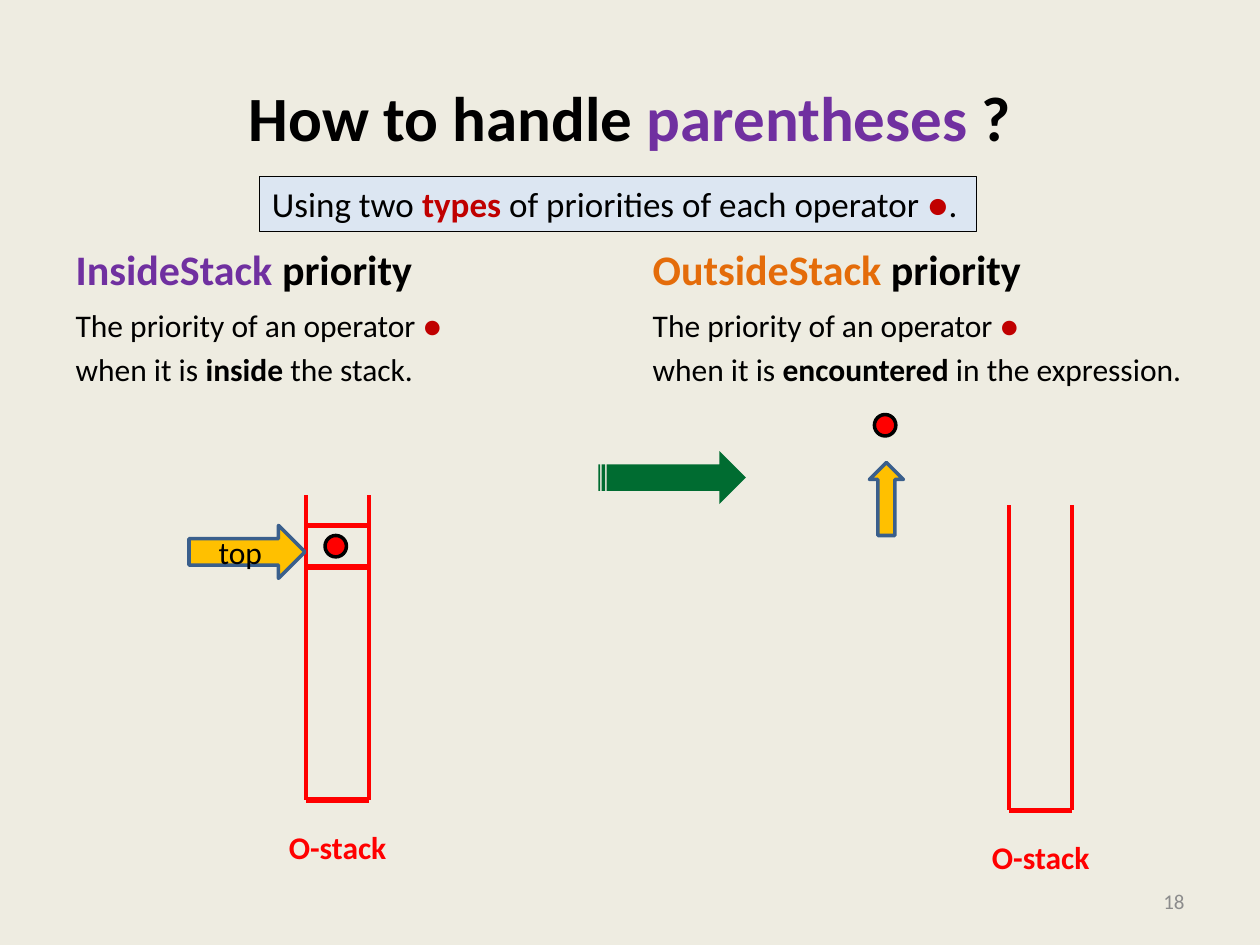
from dataclasses import dataclass

from lxml import etree
from pptx import Presentation
from pptx.dml.color import RGBColor
from pptx.enum.shapes import MSO_CONNECTOR, MSO_SHAPE
from pptx.enum.text import MSO_ANCHOR, PP_ALIGN
from pptx.oxml.ns import qn
from pptx.util import Inches, Pt


@dataclass(frozen=True)
class Theme:
    font: str = "Calibri"
    background: str = "EEECE1"
    black: str = "000000"
    purple: str = "7030A0"
    orange: str = "E46C0A"
    dark_red: str = "C00000"
    red: str = "FF0000"
    gold: str = "FFC000"
    green: str = "006C31"
    pale_blue: str = "DCE6F2"
    outline: str = "3A5F8C"
    grey: str = "8C8C8C"
    title_size: int = 36
    heading_size: int = 24
    banner_size: int = 20
    body_size: int = 18
    number_size: int = 12


THEME = Theme()
DOT = ("●", THEME.dark_red, False)


def rgb(value):
    return RGBColor.from_string(value)


def style_font(font, size, color, bold=False):
    font.name, font.size, font.bold = THEME.font, Pt(size), bold
    font.color.rgb = rgb(color)


def write(shape, lines, size, anchor=MSO_ANCHOR.TOP, align=PP_ALIGN.LEFT, wrap=True):
    """Each line is a list of (text, color, bold) runs."""
    frame = shape.text_frame
    frame.word_wrap, frame.vertical_anchor = wrap, anchor
    for index, runs in enumerate(lines):
        paragraph = frame.add_paragraph() if index else frame.paragraphs[0]
        paragraph.alignment = align
        if index == 0:
            paragraph.space_before = Pt(0)
        for text, color, bold in runs:
            run = paragraph.add_run()
            run.text = text
            style_font(run.font, size, color, bold)


def place(shape, left, top, width, height):
    shape.left, shape.top = Inches(left), Inches(top)
    shape.width, shape.height = Inches(width), Inches(height)


def add_block(slide, kind, box, fill, line=None, line_width=2.0):
    shape = slide.shapes.add_shape(kind, *map(Inches, box))
    shape.shadow.inherit = False
    shape.fill.solid()
    shape.fill.fore_color.rgb = rgb(fill)
    if line:
        shape.line.color.rgb = rgb(line)
        shape.line.width = Pt(line_width)
    else:
        shape.line.fill.background()
    return shape


def add_line(slide, start_x, start_y, end_x, end_y, width):
    line = slide.shapes.add_connector(
        MSO_CONNECTOR.STRAIGHT, *map(Inches, (start_x, start_y, end_x, end_y)))
    line.line.color.rgb = rgb(THEME.red)
    line.line.width = Pt(width)
    etree.SubElement(line._element.spPr, qn("a:effectLst"))


def add_operator(slide, left, top):
    add_block(slide, MSO_SHAPE.OVAL, (left, top, 0.17, 0.17), THEME.red, THEME.black)


def add_stack(slide, left, top, width=0.5, height=2.42):
    # Two walls, a floor and a label centred below
    bottom = top + height
    for x in (left, left + width):
        add_line(slide, x, top, x, bottom, 2.25)
    add_line(slide, left, bottom, left + width, bottom, 3)
    label_width = 1.27
    label = slide.shapes.add_textbox(
        Inches(left + (width - label_width) / 2), Inches(bottom + 0.17),
        Inches(label_width), Inches(0.4))
    write(label, [[("O-stack", THEME.red, True)]], THEME.body_size, align=PP_ALIGN.CENTER)


def add_top_item(slide, left, top, width=0.5, height=0.33):
    # Stack cell holding an operator, with the "top" pointer at its left
    for y in (top, top + height):
        add_line(slide, left, y, left + width, y, 3)
    add_operator(slide, left + 0.16, top + 0.08)
    pointer = add_block(slide, MSO_SHAPE.RIGHT_ARROW, (left - 0.92, top, 0.92, 0.42),
                        THEME.gold, THEME.outline)
    write(pointer, [[("top", THEME.black, False)]], THEME.body_size,
          MSO_ANCHOR.MIDDLE, PP_ALIGN.CENTER)


def add_encountered_operator(slide, left, top):
    # Operator outside the stack, with an arrow pointing up at it
    add_operator(slide, left + 0.04, top)
    arrow = add_block(slide, MSO_SHAPE.DOWN_ARROW, (left, top + 0.38, 0.27, 0.58),
                      THEME.gold, THEME.outline)
    arrow.rotation = 180


def fill_column(heading, body, left, top, name, color, second_line):
    place(heading, left, top, 4.42, 0.7)
    write(heading, [[(name, color, True), (" priority", THEME.black, True)]],
          THEME.heading_size, MSO_ANCHOR.BOTTOM)
    place(body, left, top + 0.7, 4.42, 4.32)
    write(body, [[("The priority of an operator ", THEME.black, False), DOT], second_line],
          THEME.body_size)
    for paragraph in body.text_frame.paragraphs:
        properties = paragraph._p.get_or_add_pPr()
        properties.set("marL", "0")
        properties.set("indent", "0")
        etree.SubElement(properties, qn("a:buNone"))


def fill_title(title, box):
    place(title, *box)
    write(title, [[("How to handle ", THEME.black, True),
                   ("parentheses", THEME.purple, True),
                   (" ?", THEME.black, True)]],
          THEME.title_size, MSO_ANCHOR.MIDDLE, PP_ALIGN.CENTER)


def add_banner(slide, box):
    banner = add_block(slide, MSO_SHAPE.RECTANGLE, box, THEME.pale_blue, THEME.black, 0.75)
    write(banner, [[("Using two ", THEME.black, False),
                    ("types", THEME.dark_red, True),
                    (" of priorities of each operator ", THEME.black, False),
                    DOT, (".", THEME.black, False)]],
          THEME.banner_size, wrap=False)


def add_slide_number(slide, box):
    number = slide.shapes.add_textbox(*map(Inches, box))
    write(number, [[("18", THEME.grey, False)]], THEME.number_size,
          MSO_ANCHOR.MIDDLE, PP_ALIGN.RIGHT)


def build_comparison(presentation):
    slide = presentation.slides.add_slide(presentation.slide_layouts[4])
    slide.background.fill.solid()
    slide.background.fill.fore_color.rgb = rgb(THEME.background)
    title, *columns = slide.placeholders

    # Heading and the two definitions
    fill_title(title, (0.5, 0.3, 9, 1.25))
    fill_column(*columns[:2], 0.5, 1.68, "InsideStack", THEME.purple,
                [("when it is ", THEME.black, False), ("inside", THEME.black, True),
                 (" the stack.", THEME.black, False)])
    fill_column(*columns[2:], 5.08, 1.68, "OutsideStack", THEME.orange,
                [("when it is ", THEME.black, False), ("encountered", THEME.black, True),
                 (" in the expression.", THEME.black, False)])
    add_banner(slide, (2.06, 1.4, 5.69, 0.44))

    # Stack diagrams
    add_stack(slide, 8.01, 4.01)
    add_stack(slide, 2.43, 3.93)
    add_top_item(slide, 2.42, 4.17)
    add_encountered_operator(slide, 6.9, 3.29)
    add_block(slide, MSO_SHAPE.STRIPED_RIGHT_ARROW, (4.75, 3.58, 1.17, 0.42), THEME.green)
    add_slide_number(slide, (7.17, 6.95, 2.33, 0.4))


def main():
    presentation = Presentation()
    presentation.slide_width, presentation.slide_height = Inches(10), Inches(7.5)
    build_comparison(presentation)
    presentation.save("out.pptx")


if __name__ == "__main__":
    main()
